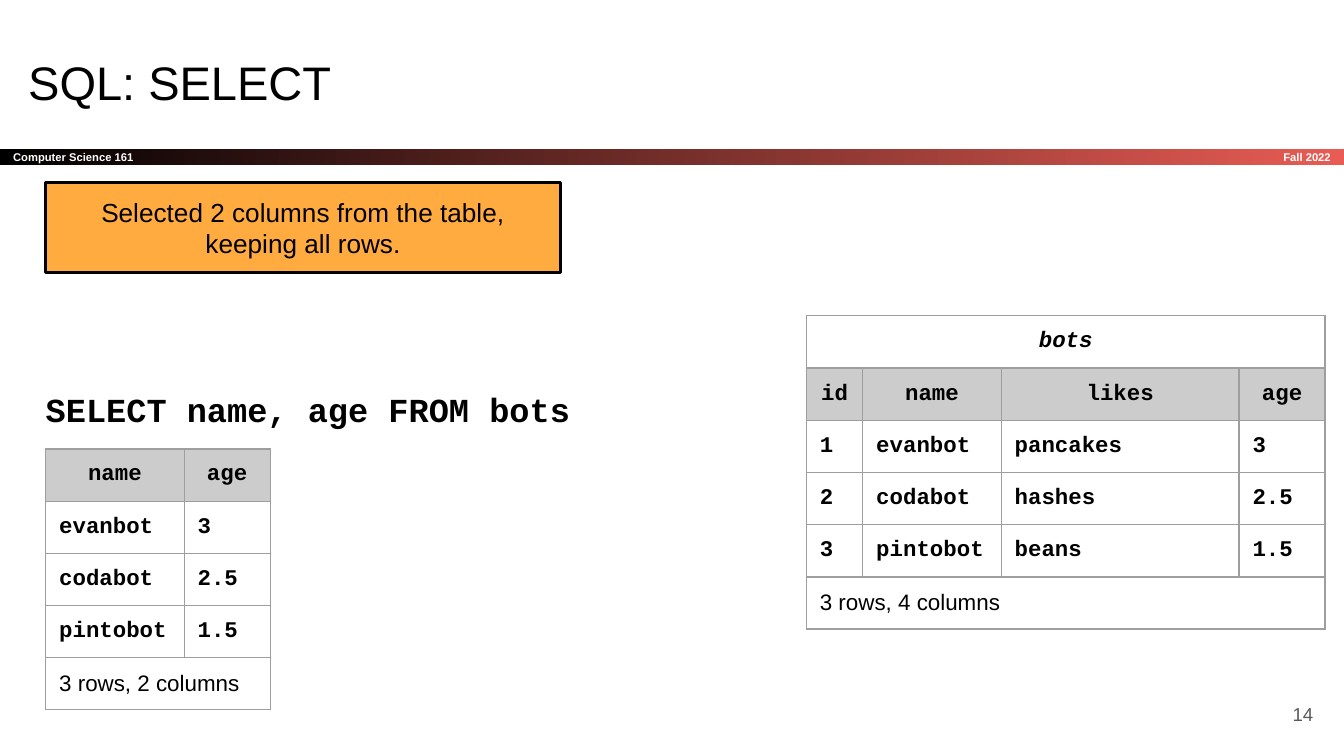
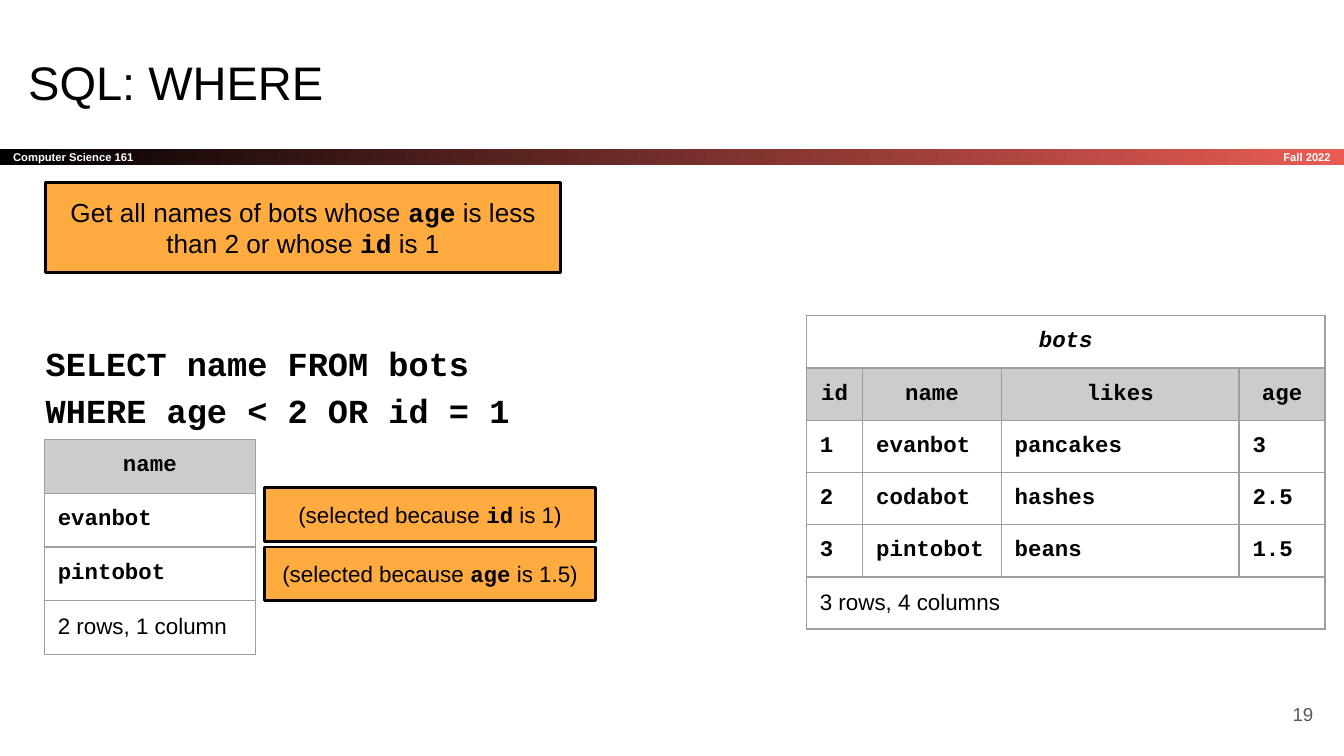
from lxml import etree
from pptx import Presentation
from pptx.dml.color import RGBColor
from pptx.enum import shapes, text
from pptx.oxml import ns
from pptx.util import Inches, Pt

BLACK = RGBColor(0x00, 0x00, 0x00)
WHITE = RGBColor(0xFF, 0xFF, 0xFF)
CORAL = RGBColor(0xE8, 0x5C, 0x54)
ORANGE = RGBColor(0xFF, 0xAB, 0x40)
HEADER_GREY = RGBColor(0xCC, 0xCC, 0xCC)
RULE_GREY = RGBColor(0x9E, 0x9E, 0x9E)
NUMBER_GREY = RGBColor(0x59, 0x59, 0x59)

SANS = "Arial"
MONO = "Courier New"
LEFT, CENTER, RIGHT = text.PP_ALIGN.LEFT, text.PP_ALIGN.CENTER, text.PP_ALIGN.RIGHT
TOP, MIDDLE = text.MSO_ANCHOR.TOP, text.MSO_ANCHOR.MIDDLE

SLIDE_WIDTH = Inches(10)
SLIDE_HEIGHT = SLIDE_WIDTH * 9 // 16
BAND_TOP, BAND_HEIGHT = 1.11, 0.12
BOTS_COLUMNS = [0.42, 1.03, 1.77, 0.64]
BOTS_ROWS = [
    ["id", "name", "likes", "age"],
    ["1", "evanbot", "pancakes", "3"],
    ["2", "codabot", "hashes", "2.5"],
    ["3", "pintobot", "beans", "1.5"],
]


def inches(*lengths):
    return [Inches(length) for length in lengths]


def write(frame, content, size, font=SANS, color=BLACK, bold=False, italic=False,
          align=LEFT):
    """Fill the first paragraph; `backticks` mark code, newlines break the line."""
    paragraph = frame.paragraphs[0]
    paragraph.alignment = align
    for index, piece in enumerate(content.split("`")):
        is_code = index % 2 == 1
        for number, line in enumerate(piece.split("\n")):
            if number:
                paragraph.add_line_break()
            if not line:
                continue
            run = paragraph.add_run()
            run.text = line
            run.font.name = MONO if is_code else font
            run.font.bold = bold or is_code
            run.font.italic = italic
            run.font.size = Pt(size)
            run.font.color.rgb = color
    return paragraph


def set_insets(box):
    """Give a text frame or a table cell the common inner margin."""
    box.margin_left = box.margin_right = Inches(0.1)
    box.margin_top = box.margin_bottom = Inches(0.1)


def prepare_frame(shape, anchor=TOP):
    frame = shape.text_frame
    set_insets(frame)
    frame.word_wrap = True
    frame.auto_size = text.MSO_AUTO_SIZE.NONE
    frame.vertical_anchor = anchor
    return frame


def add_label(slide, place, content, size, **style):
    label = slide.shapes.add_textbox(*inches(*place))
    write(prepare_frame(label, MIDDLE), content, size, **style)
    return label


def add_rectangle(slide, place):
    rectangle = slide.shapes.add_shape(shapes.MSO_SHAPE.RECTANGLE, *inches(*place))
    rectangle.shadow.inherit = False
    return rectangle


def add_callout(slide, place, content, size):
    callout = add_rectangle(slide, place)
    callout.fill.solid()
    callout.fill.fore_color.rgb = ORANGE
    callout.line.color.rgb = BLACK
    callout.line.width = Pt(1.5)
    write(prepare_frame(callout), content, size, align=CENTER)


def add_course_band(slide, layout):
    """Draw the course band and hand it to the layout that all slides share."""
    band = add_rectangle(slide, (0, BAND_TOP, 10, BAND_HEIGHT))
    band.fill.gradient()
    band.fill.gradient_angle = 0
    for stop, position, color in zip(band.fill.gradient_stops, (0, 1), (BLACK, CORAL)):
        stop.position = position
        stop.color.rgb = color
    band.line.fill.background()
    style = {"color": WHITE, "bold": True}
    write(prepare_frame(band, MIDDLE), "Computer Science 161", 6, **style)
    term = add_label(slide, (8.34, BAND_TOP, 1.66, BAND_HEIGHT), "Fall 2022", 6,
                     align=RIGHT, **style)
    for part in (band, term):
        layout.shapes.element.append(part.element)


def move(shape, place):
    shape.left, shape.top, shape.width, shape.height = inches(*place)


def add_lecture_slide(deck, layout, title, number):
    slide = deck.slides.add_slide(layout)
    heading = slide.shapes.title
    move(heading, (0.11, 0.3, 9.32, 0.63))
    write(prepare_frame(heading), title, 25.2)
    add_label(slide, (9.27, 5.1, 0.6, 0.43), number, 10,
              color=NUMBER_GREY, align=RIGHT)
    return slide


def set_query(slide, top, height, query):
    body = slide.placeholders[1]
    move(body, (0.24, top, 4.82, height))
    paragraph = write(prepare_frame(body), query, 18, font=MONO, bold=True)
    paragraph.line_spacing = 1.15
    paragraph.space_before = Pt(0)
    paragraph.space_after = Pt(12)
    properties = paragraph._p.get_or_add_pPr()
    properties.set("marL", "0")
    properties.set("indent", "0")
    etree.SubElement(properties, ns.qn("a:buNone"))


def draw_borders(cell):
    properties = cell._tc.get_or_add_tcPr()
    for index, side in enumerate(("lnL", "lnR", "lnT", "lnB")):
        line = etree.Element(ns.qn(f"a:{side}"), w=str(Pt(0.75)))
        fill = etree.SubElement(line, ns.qn("a:solidFill"))
        etree.SubElement(fill, ns.qn("a:srgbClr"), val=str(RULE_GREY))
        properties.insert(index, line)


def add_relation(slide, left, top, widths, rows, summary, name=None, row_height=0.38):
    """Add a table with a header row, a summary row and, if named, a name row."""
    header = 1 if name else 0
    all_rows = ([[name]] if name else []) + rows + [[summary]]
    place = inches(left, top, sum(widths), row_height * len(all_rows))
    table = slide.shapes.add_table(len(all_rows), len(widths), *place).table
    table.first_row = table.horz_banding = False
    for column, width in zip(table.columns, widths):
        column.width = Inches(width)
    for row in table.rows:
        row.height = Inches(row_height)

    for cell in table.iter_cells():
        set_insets(cell)
        cell.fill.background()
        draw_borders(cell)
    last = len(all_rows) - 1
    for r, values in enumerate(all_rows):
        if len(values) < len(widths):
            table.cell(r, 0).merge(table.cell(r, len(widths) - 1))
        for c, value in enumerate(values):
            cell = table.cell(r, c)
            if r == header:
                cell.fill.solid()
                cell.fill.fore_color.rgb = HEADER_GREY
            write(cell.text_frame, value, 12,
                  font=SANS if r == last else MONO,
                  bold=r != last,
                  italic=r < header,
                  align=CENTER if r <= header else LEFT)


def add_bots(slide):
    add_relation(slide, 6, 2.35, BOTS_COLUMNS, BOTS_ROWS, "3 rows, 4 columns",
                 name="bots")


def add_task(slide, content):
    add_callout(slide, (0.34, 1.36, 3.83, 0.67), content, 14)


def build_select(deck, layout):
    slide = add_lecture_slide(deck, layout, "SQL: SELECT", "14")
    add_course_band(slide, layout)
    set_query(slide, 2.75, 0.58, "SELECT name, age FROM bots")
    add_bots(slide)
    name_and_age = [[row[1], row[3]] for row in BOTS_ROWS]
    add_relation(slide, 0.34, 3.34, [1.03, 0.64], name_and_age, "3 rows, 2 columns")
    add_task(slide, "Selected 2 columns from the table, keeping all rows.")


def build_where(deck, layout):
    slide = add_lecture_slide(deck, layout, "SQL: WHERE", "19")
    add_bots(slide)
    set_query(slide, 2.41, 0.85, "SELECT name FROM bots\nWHERE age < 2 OR id = 1")
    add_task(slide, "Get all names of bots whose `age` is less than 2 or whose `id` is 1")
    add_relation(slide, 0.33, 3.27, [1.57], [["name"], ["evanbot"], ["pintobot"]],
                 "2 rows, 1 column", row_height=0.4)
    reasons = ["`id` is 1", "`age` is 1.5"]
    for index, reason in enumerate(reasons):
        add_callout(slide, (1.97, 3.63 + 0.44 * index, 2.46, 0.4),
                    f"(selected because {reason})", 12)


def main():
    deck = Presentation()
    deck.slide_width, deck.slide_height = SLIDE_WIDTH, SLIDE_HEIGHT
    layout = deck.slide_layouts[1]
    build_select(deck, layout)
    build_where(deck, layout)
    deck.save("out.pptx")


if __name__ == "__main__":
    main()
